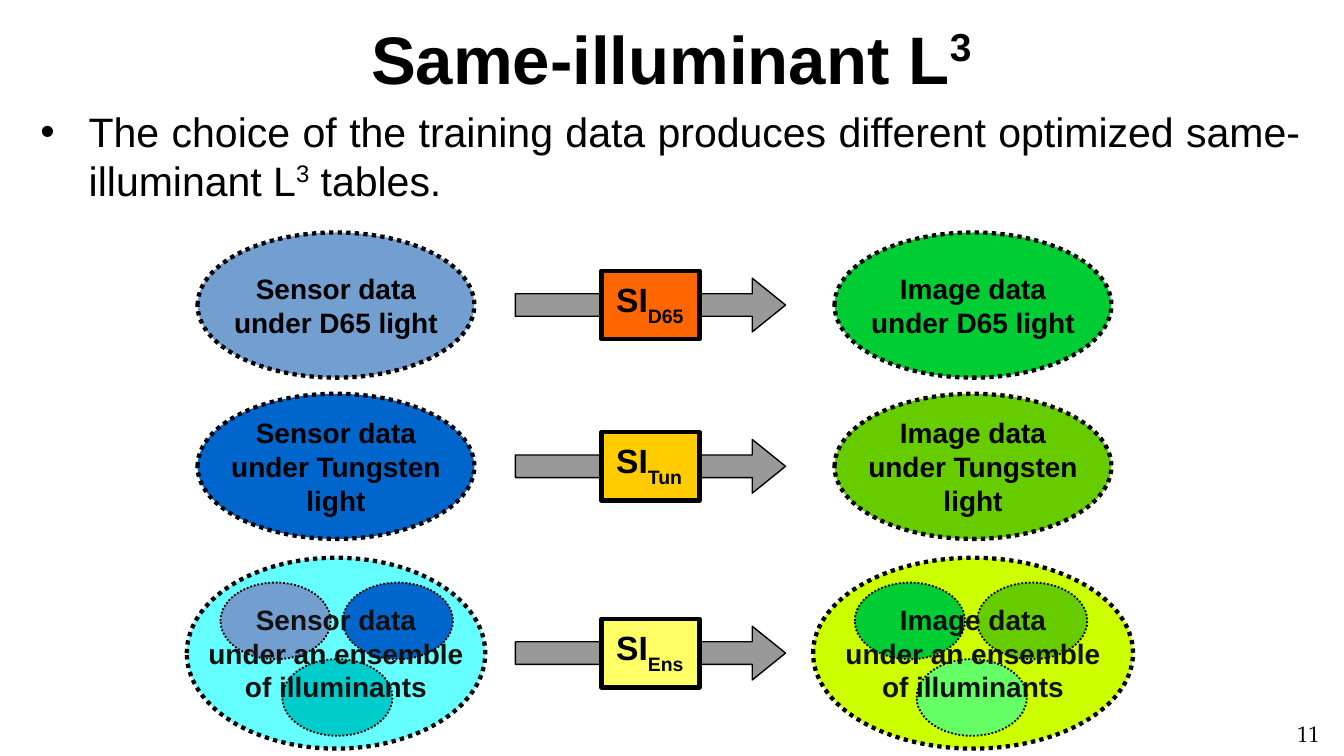
import pptx
import pptx.util
import pptx.dml.color
import pptx.enum.dml
import pptx.enum.shapes
import pptx.enum.text
import lxml.etree

Inches = pptx.util.Inches
RGBColor = pptx.dml.color.RGBColor
SHAPE = pptx.enum.shapes.MSO_SHAPE
ALIGN = pptx.enum.text.PP_ALIGN
ANCHOR = pptx.enum.text.MSO_ANCHOR
DOTTED = pptx.enum.dml.MSO_LINE.ROUND_DOT

BLACK = RGBColor(0x00, 0x00, 0x00)
CHARCOAL = RGBColor(0x11, 0x11, 0x11)
GRAY = RGBColor(0x99, 0x99, 0x99)
STEEL = RGBColor(0x72, 0x9F, 0xCF)
BLUE = RGBColor(0x00, 0x66, 0xCC)
TEAL = RGBColor(0x00, 0xCC, 0xCC)
CYAN = RGBColor(0x66, 0xFF, 0xFF)
GREEN = RGBColor(0x00, 0xCC, 0x33)
OLIVE = RGBColor(0x66, 0xCC, 0x00)
MINT = RGBColor(0x66, 0xFF, 0x66)
LIME = RGBColor(0xCC, 0xFF, 0x00)
ORANGE = RGBColor(0xFF, 0x66, 0x00)
GOLD = RGBColor(0xFF, 0xCC, 0x00)
YELLOW = RGBColor(0xFF, 0xFF, 0x66)

# Content: a run is (text, baseline shift in percent)
TITLE = [("Same-illuminant L", 0), ("3", 33)]
BULLET = [
    ("The choice of the training data produces different optimized same-illuminant L", 0),
    ("3", 33),
    (" tables.", 0),
]
PAGE_NUMBER = "11"
COLUMNS = [  # heading, centre, inner centre, ensemble width, inner fills
    ("Sensor data", 2.5, 2.51, 2.22, (STEEL, TEAL, BLUE)),
    ("Image data", 7.24, 7.23, 2.38, (GREEN, MINT, OLIVE)),
]
ROWS = [  # centre, table subscript, table fill, label lines, column fills
    (2.27, "D65", ORANGE, ["under D65 light"], (STEEL, GREEN)),
    (3.47, "Tun", GOLD, ["under Tungsten", "light"], (BLUE, OLIVE)),
    (4.86, "Ens", YELLOW, ["under an ensemble", "of illuminants"], (CYAN, LIME)),
]
ENSEMBLE = 2
INNER_OFFSETS = [(-0.46, -0.24), (0, 0.33), (0.45, -0.24)]


def write(frame, paragraphs, *, size, font="Arial", color=BLACK, bold=False,
          align=ALIGN.CENTER, anchor=ANCHOR.MIDDLE, wrap=False,
          insets=(0.1, 0.05), bullet=None):
    """Fill a text frame with paragraphs, each a list of runs."""
    frame.auto_size = pptx.enum.text.MSO_AUTO_SIZE.NONE
    frame.word_wrap = wrap
    frame.vertical_anchor = anchor
    frame.margin_left = frame.margin_right = Inches(insets[0])
    frame.margin_top = frame.margin_bottom = Inches(insets[1])
    for index, runs in enumerate(paragraphs):
        para = frame.add_paragraph() if index else frame.paragraphs[0]
        para.alignment = align
        para.space_before = pptx.util.Pt(0)
        if bullet:
            props = para._p.get_or_add_pPr()
            props.set("marL", str(Inches(0.36)))
            props.set("indent", str(-Inches(0.36)))
            mark = lxml.etree.SubElement(props, pptx.oxml.ns.qn("a:buChar"))
            mark.set("char", bullet)
        for text, shift in runs:
            span = para.add_run()
            span.text = text
            span.font.size = pptx.util.Pt(size)
            span.font.name = font
            span.font.bold = bold
            span.font.color.rgb = color
            if shift:
                span._r.get_or_add_rPr().set("baseline", str(shift * 1000))


def place(shape, left, top, width, height):
    shape.left, shape.top = Inches(left), Inches(top)
    shape.width, shape.height = Inches(width), Inches(height)


def centred(x, y, width, height):
    return [Inches(n) for n in (x - width / 2, y - height / 2, width, height)]


def draw(shapes, kind, x, y, width, height, fill, weight, dash=None):
    shape = shapes.add_shape(kind, *centred(x, y, width, height))
    shape.shadow.inherit = False
    shape.fill.solid()
    shape.fill.fore_color.rgb = fill
    shape.line.color.rgb = BLACK
    shape.line.width = pptx.util.Pt(weight)
    if dash:
        shape.line.dash_style = dash
    return shape


# A 16:9 page
deck = pptx.Presentation()
deck.slide_width = Inches(10)
deck.slide_height = deck.slide_width * 9 // 16
page = deck.slides.add_slide(deck.slide_layouts[1])

# Title and bullet
title, body = page.placeholders
place(title, 0.08, 0.04, 9.83, 0.77)
write(title.text_frame, [TITLE], size=36, bold=True, wrap=True)
place(body, 0.2, 0.74, 9.58, 4.83)
write(body.text_frame, [BULLET], size=22, align=ALIGN.JUSTIFY, wrap=True,
      anchor=ANCHOR.TOP, bullet="•")

# Rows: data ellipses, arrow with its table, labels
for row, (y, subscript, table_fill, lines, fills) in enumerate(ROWS):
    arrow = draw(page.shapes, SHAPE.RIGHT_ARROW, 4.84, y, 2.01, 0.4, GRAY, 0.75)
    arrow.adjustments[0], arrow.adjustments[1] = 0.42, 0.62
    table = draw(page.shapes, SHAPE.RECTANGLE, 4.84, y, 0.73, 0.51, table_fill, 2.3)
    write(table.text_frame, [[("SI", 0), (subscript, -33)]], size=18, bold=True,
          align=ALIGN.LEFT, anchor=ANCHOR.TOP, insets=(0.11, 0.06))

    for (heading, x, inner_x, wide, inner_fills), fill in zip(COLUMNS, fills):
        if row == ENSEMBLE:
            group = page.shapes.add_group_shape().shapes
            draw(group, SHAPE.OVAL, x, y, wide, 1.42, fill, 2.3, DOTTED)
            for (dx, dy), inner_fill in zip(INNER_OFFSETS, inner_fills):
                draw(group, SHAPE.OVAL, inner_x + dx, y + dy, 0.82, 0.57,
                     inner_fill, 1, DOTTED)
        else:
            draw(page.shapes, SHAPE.OVAL, x, y, 2.06, 1.08, fill, 2.3, DOTTED)
        label_lines = [heading] + lines
        height = 0.1 + 0.25 * len(label_lines)
        label = page.shapes.add_textbox(*centred(x, y, 2.1, height))
        write(label.text_frame, [[(line, 0)] for line in label_lines], size=15,
              bold=True, color=CHARCOAL if row == ENSEMBLE else BLACK)

# Page number
number = page.shapes.add_textbox(Inches(9.5), Inches(5.31), Inches(0.47), Inches(0.3))
write(number.text_frame, [[(PAGE_NUMBER, 0)]], size=12, font="TeX Gyre Pagella",
      anchor=ANCHOR.TOP, wrap=True)

deck.save("out.pptx")
